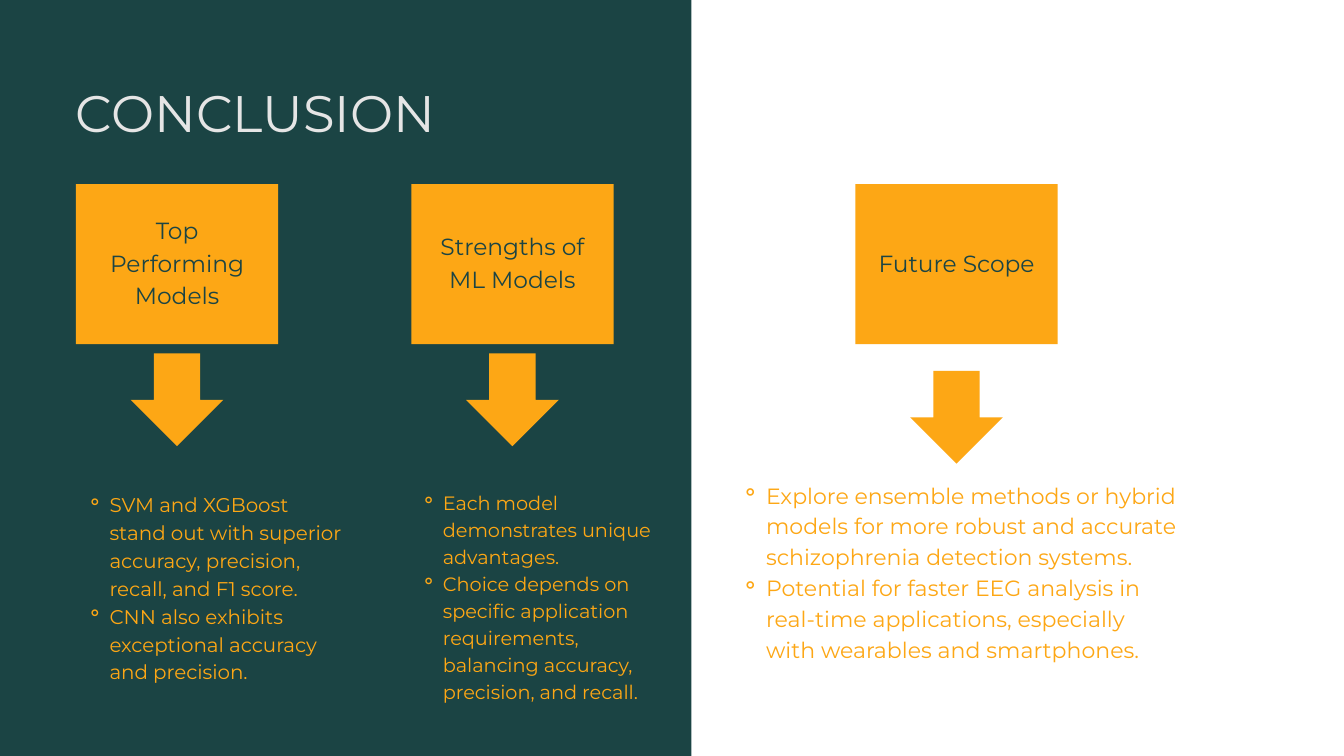
import pptx
import pptx.util
import pptx.dml.color
import pptx.enum.shapes
import pptx.enum.text
import pptx.oxml.ns
from lxml import etree

Inches = pptx.util.Inches
Pt = pptx.util.Pt
Shape = pptx.enum.shapes.MSO_SHAPE
Align = pptx.enum.text.PP_ALIGN
Anchor = pptx.enum.text.MSO_ANCHOR

GREEN, AMBER, PALE = "1B4444", "FDA715", "E5E5E5"
FONT = "Montserrat"
CARD_W, CARD_H, CARD_TOP = 3.01, 2.38, 2.74
ARROW = 1.38

# Card: left, heading, arrow top
CARDS = [
    (1.13, "Top Performing\nModels", 5.26),
    (6.12, "Strengths of ML Models", 5.26),
    (12.73, "Future Scope", 5.52),
]

# List: left, top, width, height, font size, line pitch, indent, items
LISTS = [
    (0.61, 7.27, 4.54, 3.25, 21.3, 29.9, 0.34, [
        "SVM and XGBoost stand out with superior accuracy, precision, "
        "recall, and F1 score.",
        "CNN also exhibits exceptional accuracy and precision.",
    ]),
    (5.6, 7.25, 4.4, 3.56, 20.7, 29, 0.33, [
        "Each model demonstrates unique advantages.",
        "Choice depends on specific application requirements, "
        "balancing accuracy, precision, and recall.",
    ]),
    (10.29, 7.11, 7.26, 3.15, 23.6, 33, 0.37, [
        "Explore ensemble methods or hybrid models for more robust and "
        "accurate schizophrenia detection systems.",
        "Potential for faster EEG analysis in real-time applications, "
        "especially with wearables and smartphones.",
    ]),
]


def color(code):
    return pptx.dml.color.RGBColor.from_string(code)


def write(frame, text, size, pitch, code, align=Align.LEFT):
    frame.word_wrap = True
    frame.text = text
    for para in frame.paragraphs:
        para.alignment = align
        para.line_spacing = Pt(pitch)
        for run in para.runs:
            run.font.name = FONT
            run.font.size = Pt(size)
            run.font.color.rgb = color(code)


def inset(frame, left, top, right, bottom):
    frame.margin_left, frame.margin_top = Inches(left), Inches(top)
    frame.margin_right, frame.margin_bottom = Inches(right), Inches(bottom)


def add_block(slide, kind, left, top, width, height, code):
    block = slide.shapes.add_shape(
        kind, Inches(left), Inches(top), Inches(width), Inches(height))
    block.shadow.inherit = False
    block.fill.solid()
    block.fill.fore_color.rgb = color(code)
    block.line.fill.background()
    return block


def add_text(slide, left, top, width, height, text, size, pitch, code):
    box = slide.shapes.add_textbox(
        Inches(left), Inches(top), Inches(width), Inches(height))
    frame = box.text_frame
    inset(frame, 0, 0, 0, 0)
    write(frame, text, size, pitch, code)
    return frame


def add_card(slide, left, text, arrow_top):
    card = add_block(slide, Shape.RECTANGLE, left, CARD_TOP,
                     CARD_W, CARD_H, AMBER)
    frame = card.text_frame
    # The deeper bottom margin lifts the heading slightly
    inset(frame, 0.28, 0.28, 0.28, 0.39)
    frame.vertical_anchor = Anchor.MIDDLE
    write(frame, text, 25, 35, GREEN, Align.CENTER)
    add_block(slide, Shape.DOWN_ARROW, left + (CARD_W - ARROW) / 2,
              arrow_top, ARROW, ARROW, AMBER)


def add_list(slide, left, top, width, height, size, pitch, indent, items):
    frame = add_text(slide, left, top, width, height,
                     "\n".join(items), size, pitch, AMBER)
    for para in frame.paragraphs:
        para.level = 2
        props = para._p.get_or_add_pPr()
        props.set("marL", str(Inches(3 * indent)))
        props.set("indent", str(-Inches(indent)))
        mark = etree.SubElement(props, pptx.oxml.ns.qn("a:buChar"))
        mark.set("char", "⚬")


def main():
    deck = pptx.Presentation()
    deck.slide_width, deck.slide_height = Inches(20), Inches(11.25)
    slide = deck.slides.add_slide(deck.slide_layouts[6])

    # Dark panel and title
    add_block(slide, Shape.RECTANGLE, 0, 0, 10.29, 11.25, GREEN)
    add_text(slide, 1.12, 1.28, 7.56, 0.86, "CONCLUSION", 55, 60.5, PALE)

    # Headings with arrows, then the points below them
    for card in CARDS:
        add_card(slide, *card)
    for points in LISTS:
        add_list(slide, *points)

    deck.save("out.pptx")


if __name__ == "__main__":
    main()
